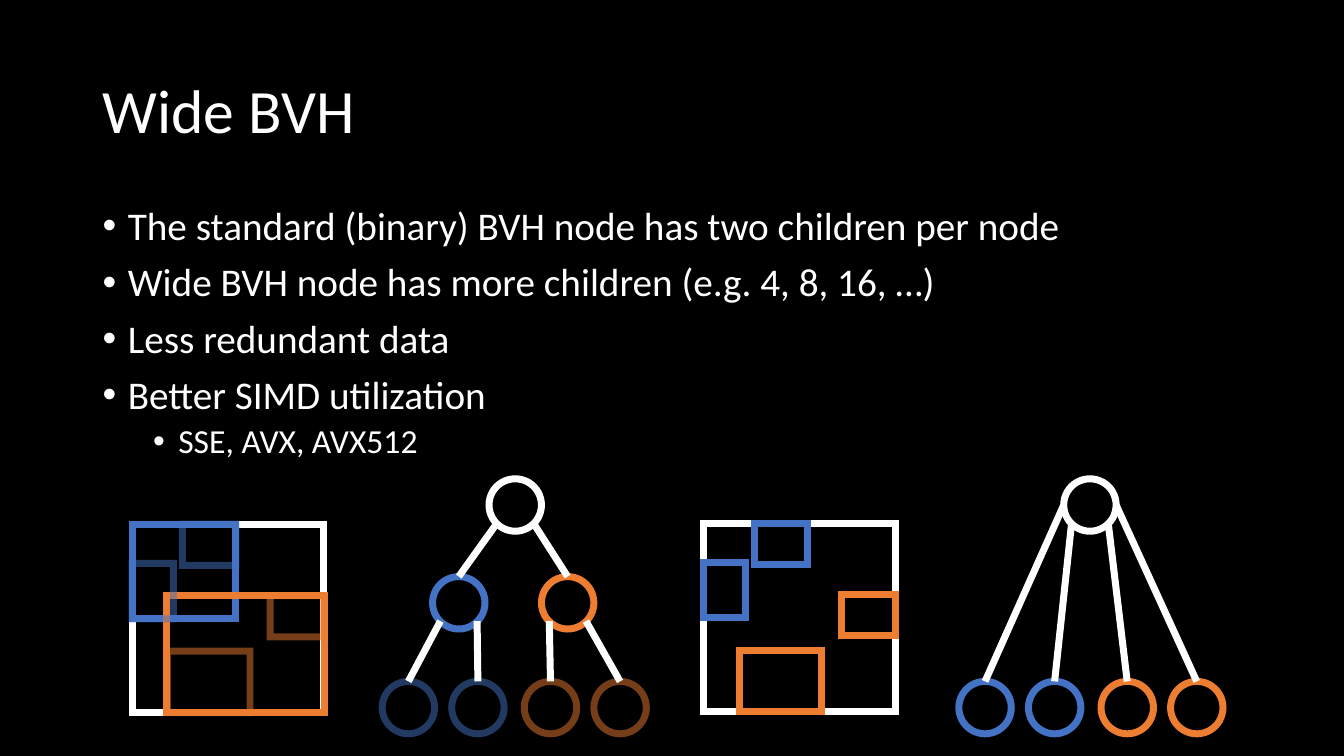
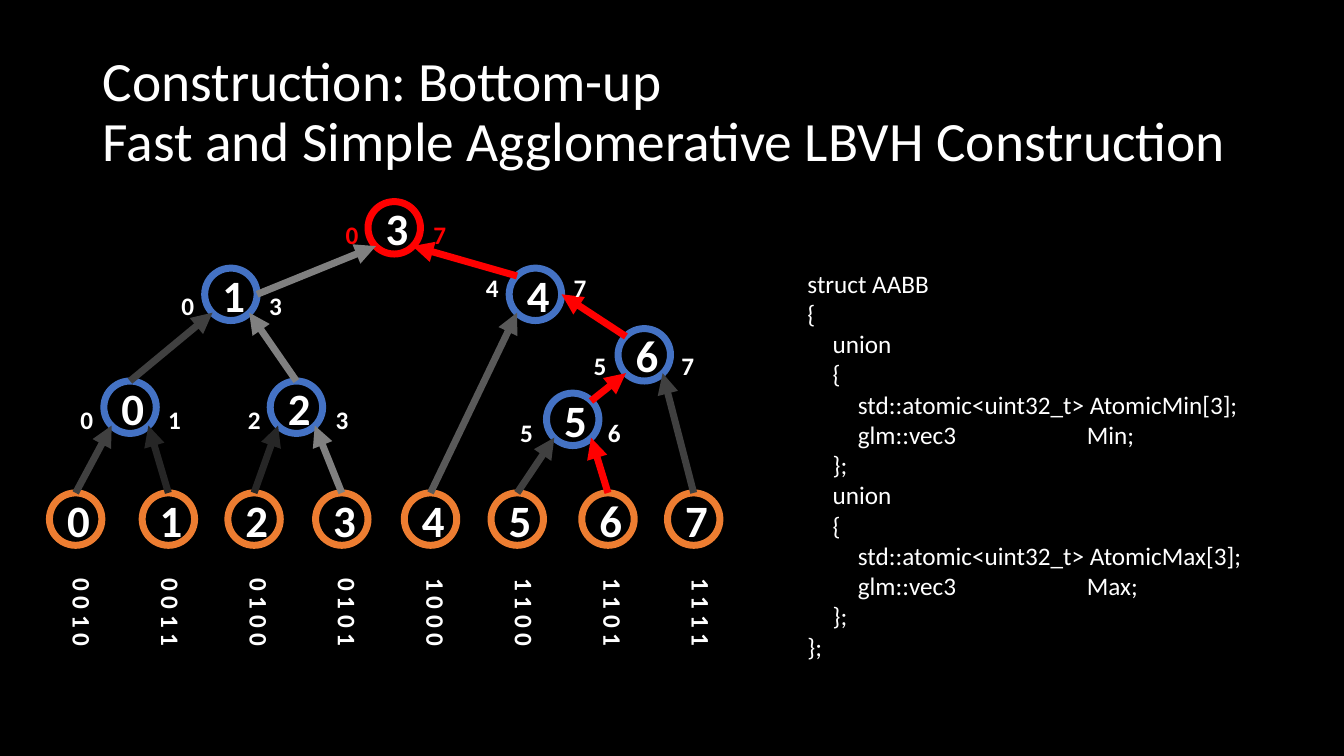
from lxml import etree
from pptx import Presentation
from pptx.dml.color import RGBColor
from pptx.enum.shapes import MSO_CONNECTOR, MSO_SHAPE
from pptx.enum.text import MSO_ANCHOR, MSO_AUTO_SIZE
from pptx.oxml.ns import qn
from pptx.util import Inches, Pt

LINE = MSO_CONNECTOR.STRAIGHT
RECT = MSO_SHAPE.RECTANGLE
OVAL = MSO_SHAPE.OVAL
MIDDLE = MSO_ANCHOR.MIDDLE
GROW = MSO_AUTO_SIZE.SHAPE_TO_FIT_TEXT

BLACK = RGBColor(0x00, 0x00, 0x00)
WHITE = RGBColor(0xFF, 0xFF, 0xFF)
BLUE = RGBColor(0x44, 0x72, 0xC4)
ORANGE = RGBColor(0xED, 0x7D, 0x31)
RED = RGBColor(0xFF, 0x00, 0x00)
COAL = RGBColor(0x26, 0x26, 0x26)
DARK = RGBColor(0x40, 0x40, 0x40)
SLATE = RGBColor(0x59, 0x59, 0x59)
GRAY = RGBColor(0x80, 0x80, 0x80)

FONT = "Calibri"
STROKE = 5
NODE = 0.52
SITES = {
    "N": (0.5, 0), "E": (1, 0.5), "W": (0, 0.5),
    "NW": (0.15, 0.15), "NE": (0.85, 0.15),
    "SW": (0.15, 0.85), "SE": (0.85, 0.85),
}

POINTS = [
    (0, "The standard (binary) BVH node has two children per node"),
    (0, "Wide BVH node has more children (e.g. 4, 8, 16, …)"),
    (0, "Less redundant data"),
    (0, "Better SIMD utilization"),
    (1, "SSE, AVX, AVX512"),
]
LEVELS = [
    {"left": 0.25, "size": 28, "before": 10},
    {"left": 0.75, "size": 24, "before": 5},
]
BOXES = [
    (0.5, 0, 0.53, 0.41, BLUE),
    (0, 0.39, 0.41, 0.55, BLUE),
    (0.35, 1.26, 0.82, 0.61, ORANGE),
    (1.37, 0.71, 0.53, 0.41, ORANGE),
]
GROUPS = [
    (0, 0, 1.03, 0.94, BLUE),
    (0.34, 0.71, 1.57, 1.16, ORANGE),
]
LEAF_STEPS = [(0, BLUE), (0.69, BLUE), (1.41, ORANGE), (2.1, ORANGE)]

LEAVES = [0.49, 1.41, 2.26, 3.13, 4.01, 4.87, 5.77, 6.62]
CODES = ["0 0 1 0", "0 0 1 1", "0 1 0 0", "0 1 0 1",
         "1 0 0 0", "1 1 0 0", "1 1 0 1", "1 1 1 1"]
INNER = [
    (1.03, 3.78, BLUE),
    (2.03, 2.66, BLUE),
    (2.68, 3.78, BLUE),
    (3.65, 2, RED),
    (5.05, 2.66, BLUE),
    (5.42, 3.9, BLUE),
    (6.13, 3.26, BLUE),
]
RANGES = [
    (0.7, 3.96, "01", WHITE),
    (1.7, 2.83, "03", WHITE),
    (2.36, 3.96, "23", WHITE),
    (3.33, 2.13, "07", RED),
    (4.72, 2.65, "47", WHITE),
    (5.06, 4.09, "56", WHITE),
    (5.79, 3.43, "57", WHITE),
]
LEAF_LINKS = [
    (0, "SW", 0, DARK), (0, "SE", 1, COAL),
    (2, "SW", 2, COAL), (2, "SE", 3, GRAY),
    (4, "SW", 4, SLATE), (5, "SW", 5, DARK),
    (5, "SE", 6, RED), (6, "SE", 7, DARK),
]
INNER_LINKS = [
    (1, "SW", 0, "N", DARK), (1, "SE", 2, "N", GRAY),
    (3, "SW", 1, "E", GRAY), (3, "SE", 4, "NW", RED),
    (4, "E", 6, "NW", RED), (6, "SW", 5, "NE", RED),
]


def add_tag(parent, name, **values):
    tag = etree.SubElement(parent, qn(name))
    for key, value in values.items():
        tag.set(key, str(value))
    return tag


def set_font(font, size, color=WHITE, bold=False):
    values = {"name": FONT, "size": Pt(size), "bold": bold}
    for key, value in values.items():
        setattr(font, key, value)
    font.color.rgb = color


def set_line(item, color):
    item.line.width = Pt(STROKE)
    item.line.color.rgb = color


def add_outline(slide, kind, x, y, w, h, color, faint=False):
    shape = slide.shapes.add_shape(
        kind, Inches(x), Inches(y), Inches(w), Inches(h))
    shape.shadow.inherit = False
    shape.fill.background()
    set_line(shape, color)
    line = shape.line._ln
    if faint:
        add_tag(line.find(".//" + qn("a:srgbClr")), "a:alpha", val=50000)
    add_tag(line, "a:miter", lim=800000)
    return shape


def add_node(slide, x, y, color, text="", faint=False):
    node = add_outline(slide, OVAL, x, y, NODE, NODE, color, faint)
    if text:
        part = node.text_frame.paragraphs[0]
        part.text = text
        set_font(part.font, 32, bold=True)
    return x, y


def find_site(node, site):
    return [Inches(start + NODE * share)
            for start, share in zip(node, SITES[site])]


def add_link(slide, top, site, child, end="N", color=WHITE, arrow=False):
    link = slide.shapes.add_connector(
        LINE, *find_site(top, site), *find_site(child, end))
    set_line(link, color)
    if arrow:
        add_tag(link.line._ln, "a:headEnd", type="triangle")
    add_tag(link._element.spPr, "a:effectLst")


def add_text(slide, x, y, w, h, lines, size,
             color=WHITE, bold=False, wrap=True):
    box = slide.shapes.add_textbox(
        Inches(x), Inches(y), Inches(w), Inches(h))
    frame = box.text_frame
    frame.word_wrap = wrap
    frame.auto_size = GROW
    for index, line in enumerate(lines):
        part = frame.add_paragraph() if index else frame.paragraphs[0]
        part.text = line
        set_font(part.font, size, color, bold)
    return frame


def add_page(deck, title, size):
    slide = deck.slides.add_slide(deck.slide_layouts[6])
    slide.background.fill.solid()
    slide.background.fill.fore_color.rgb = BLACK
    frame = add_text(slide, 0.92, 0.4, 11.5, 1.45, [title], size)
    frame.auto_size = MSO_AUTO_SIZE.NONE
    frame.vertical_anchor = MIDDLE
    frame.paragraphs[0].line_spacing = 0.9
    return slide


def add_points(slide):
    box = slide.shapes.add_textbox(
        Inches(0.92), Inches(2), Inches(11.5), Inches(4.76))
    frame = box.text_frame
    frame.word_wrap = True
    for index, (level, text) in enumerate(POINTS):
        part = frame.add_paragraph() if index else frame.paragraphs[0]
        style = LEVELS[level]
        part.text = text
        part.level = level
        part.line_spacing = 0.9
        part.space_before = Pt(style["before"] if index else 0)
        props = part._p.get_or_add_pPr()
        props.set("marL", str(Inches(style["left"])))
        props.set("indent", str(Inches(-0.25)))
        add_tag(props, "a:buFont", typeface="Arial")
        add_tag(props, "a:buChar", char="•")
        set_font(part.font, style["size"])


def add_scene(slide, x, y, groups=()):
    add_outline(slide, RECT, x, y, 1.9, 1.87, WHITE)
    for left, top, w, h, color in groups:
        add_outline(slide, RECT, x + left, y + top, w, h, color)
    for left, top, w, h, color in BOXES:
        add_outline(slide, RECT, x + left, y + top, w, h, color, bool(groups))


def add_leaves(slide, x, faint):
    return [add_node(slide, x + step, 6.76, color, faint=faint)
            for step, color in LEAF_STEPS]


def draw_wide(deck):
    slide = add_page(deck, "Wide BVH", 44)
    add_points(slide)
    add_scene(slide, 1.31, 5.2, GROUPS)
    add_scene(slide, 6.98, 5.19)

    root = add_node(slide, 4.85, 4.75, WHITE)
    leaves = add_leaves(slide, 3.79, True)
    sides = [("SW", 4.29, BLUE), ("SE", 5.37, ORANGE)]
    for index, (site, x, color) in enumerate(sides):
        child = add_node(slide, x, 5.72, color)
        add_link(slide, root, site, child)
        for end, leaf in zip(("SW", "SE"), leaves[2 * index:]):
            add_link(slide, child, end, leaf)

    root = add_node(slide, 10.55, 4.75, WHITE)
    leaves = add_leaves(slide, 9.51, False)
    for site, leaf in zip(("W", "SW", "SE", "E"), leaves):
        add_link(slide, root, site, leaf)


def make_code():
    lines = ["struct AABB", "{"]
    for name in ("Min", "Max"):
        lines += [
            "　union",
            "　{",
            f"　　std::atomic<uint32_t> Atomic{name}[3];",
            f"　　glm::vec3                       {name};",
            "　};",
        ]
    return lines + ["};"]


def draw_build(deck):
    title = ("Construction: Bottom-up\n"
             "Fast and Simple Agglomerative LBVH Construction")
    slide = add_page(deck, title, 39.6)
    inner = [add_node(slide, x, y, color, str(index))
             for index, (x, y, color) in enumerate(INNER)]
    leaves = [add_node(slide, x, 4.89, ORANGE, str(index))
              for index, x in enumerate(LEAVES)]
    for top, site, leaf, color in LEAF_LINKS:
        add_link(slide, inner[top], site, leaves[leaf], "N", color, True)
    for top, site, child, end, color in INNER_LINKS:
        add_link(slide, inner[top], site, inner[child], end, color, True)
    for index, code in enumerate(CODES):
        frame = add_text(slide, 0.51 + index * 6.14 / 7, 5.64, 0.51, 1.44,
                         [code], 18, bold=True, wrap=False)
        frame._txBody.bodyPr.set("vert", "eaVert")
    for x, y, ends, color in RANGES:
        for index, digit in enumerate(ends):
            add_text(slide, x + 0.87 * index, y, 0.33, 0.4,
                     [digit], 18, color, True, False)
    add_text(slide, 7.91, 2.61, 5.15, 4.34, make_code(), 18)


def main():
    deck = Presentation()
    deck.slide_width = Inches(13.33)
    deck.slide_height = Inches(7.5)
    draw_wide(deck)
    draw_build(deck)
    deck.save("out.pptx")


if __name__ == "__main__":
    main()
